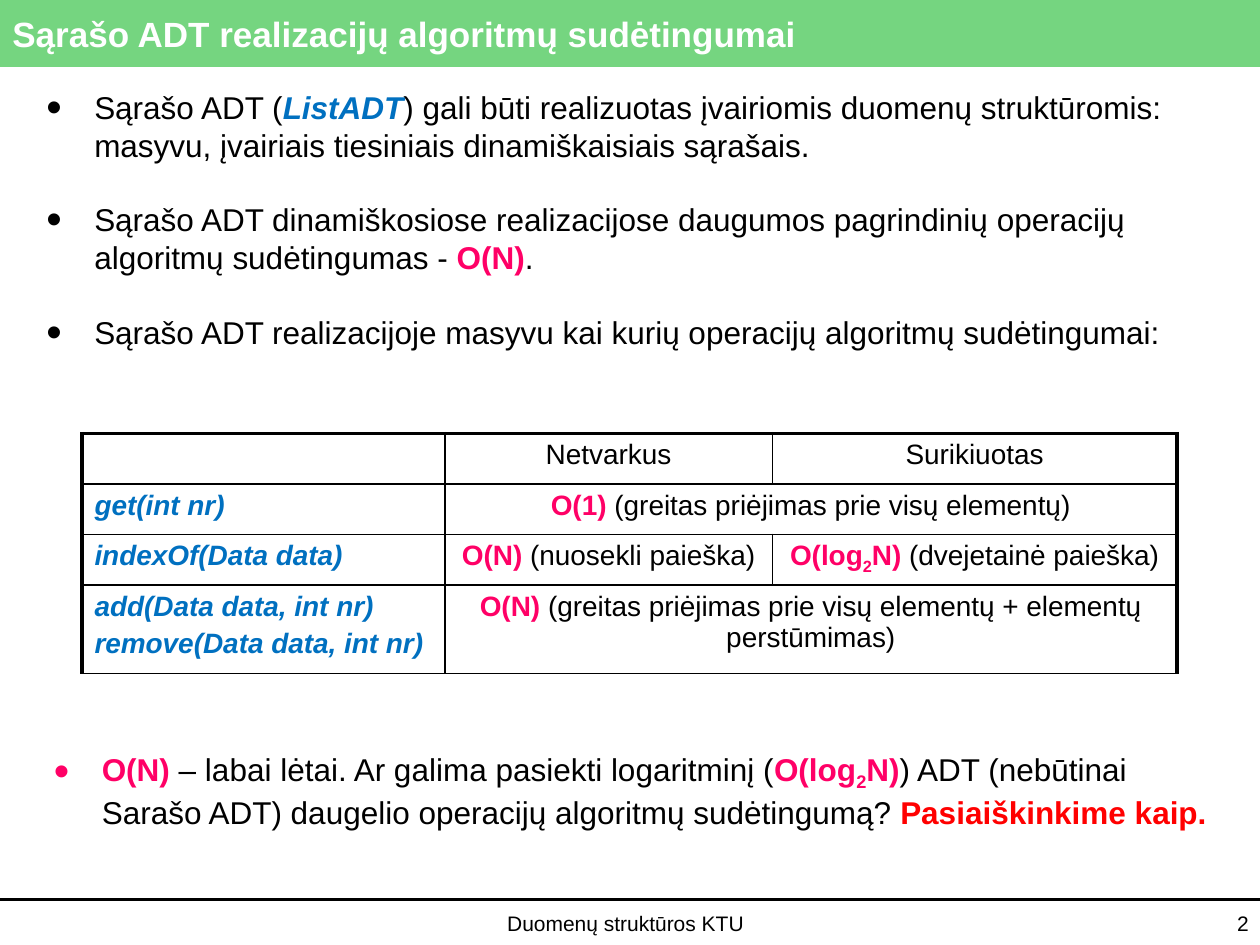
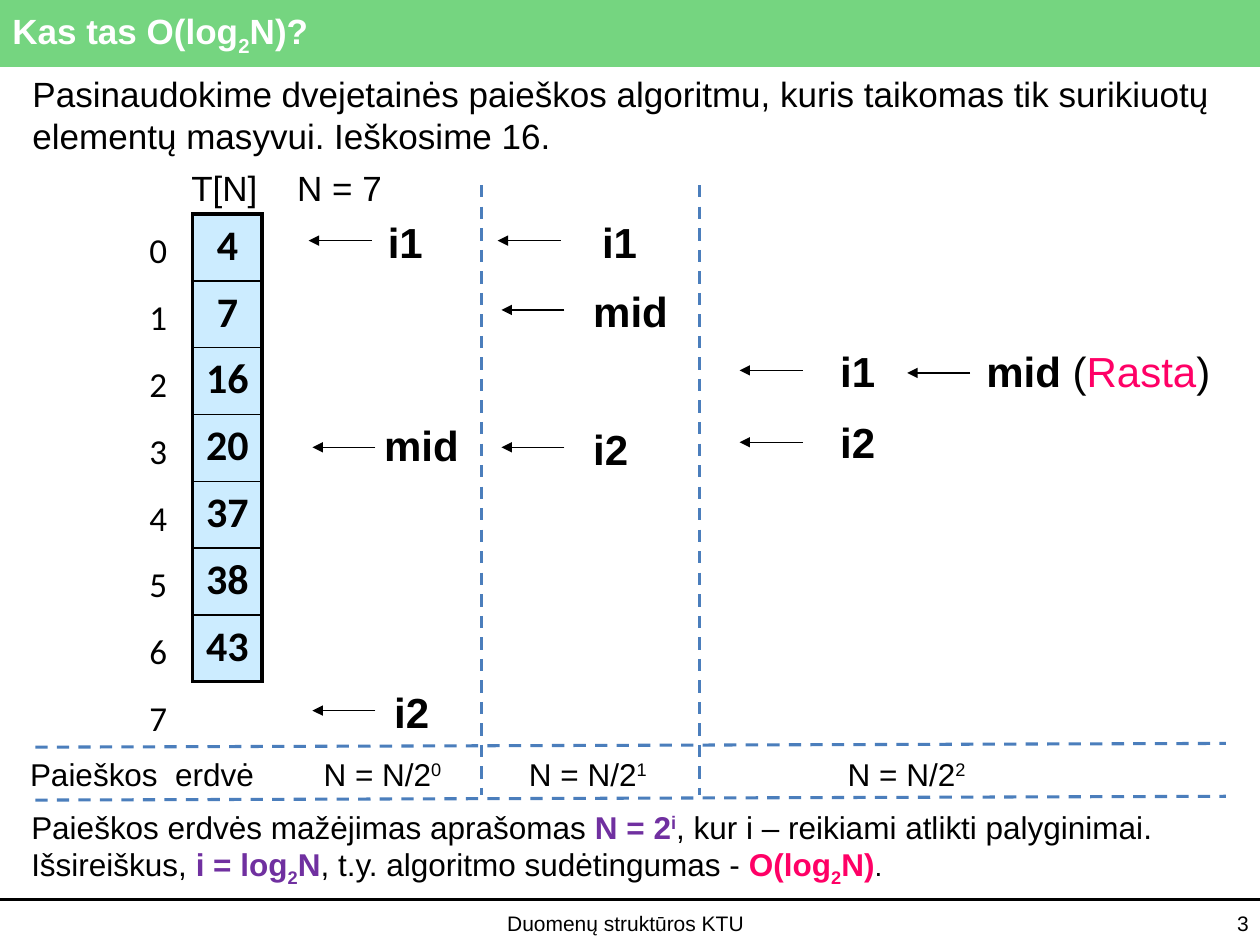
from pptx import Presentation
from pptx import util as u
from pptx.dml import color as dml_color
from pptx.enum import dml, shapes, text
from pptx.oxml import ns
from lxml import etree

GREEN, BLACK, WHITE = "75D580", "000000", "FFFFFF"
PINK, BLUE, PURPLE, RED = "FF0066", "0070C0", "7030A0", "FF0000"
DASH_BLUE, CELL_BLUE = "4B7EBC", "CCECFF"
FONT = "Arial"
FOOTER = "Duomenų struktūros KTU"
THICK, THIN = 2.25, 1
LEFT, CENTER, RIGHT = text.PP_ALIGN.LEFT, text.PP_ALIGN.CENTER, text.PP_ALIGN.RIGHT
SUB, SUPER = -25000, 30000


def rgb(value):
    return dml_color.RGBColor.from_string(value)


def child(parent, tag, **attributes):
    return etree.SubElement(parent, ns.qn(tag), attributes)


def plain(content, color=BLACK, size=None):
    return dict(content=content, color=color, size=size)


def strong(content, color=BLACK, **extra):
    return dict(content=content, color=color, bold=True, **extra)


def code(content):
    return strong(content, BLUE, italic=True)


def with_log(before, after, color):
    return [strong(before, color), strong("2", color, baseline=SUB), strong(after, color)]


def write(paragraph, runs, size, font=FONT, align=LEFT):
    paragraph.alignment = align
    for item in runs:
        run = paragraph.add_run()
        run.text = item["content"]
        run.font.name = font
        run.font.size = u.Pt(item.get("size") or size)
        run.font.bold = item.get("bold", False)
        run.font.italic = item.get("italic", False)
        run.font.color.rgb = rgb(item["color"])
        if "baseline" in item:
            run.font._element.set("baseline", str(item["baseline"]))


def add_bullet(paragraph):
    properties = paragraph._p.get_or_add_pPr()
    indent = u.Inches(0.38)
    properties.set("marL", str(indent))
    properties.set("indent", str(-indent))
    child(properties, "a:buSzPct", val="140000")
    child(properties, "a:buFont", typeface=FONT)
    child(properties, "a:buChar", char="•")


def add_text(slide, box, paragraphs, size, align=LEFT, middle=False, bullets=False, gap=0):
    shape = slide.shapes.add_textbox(*map(u.Inches, box))
    frame = shape.text_frame
    frame.word_wrap = True
    frame.vertical_anchor = text.MSO_ANCHOR.MIDDLE if middle else text.MSO_ANCHOR.TOP
    for index, runs in enumerate(paragraphs):
        paragraph = frame.add_paragraph() if index else frame.paragraphs[0]
        if index:
            paragraph.space_before = u.Pt(gap)
        if bullets:
            add_bullet(paragraph)
        write(paragraph, runs, size, align=align)


def add_line(slide, start, end, color=BLACK, width=1.75, dashed=False, arrow=False):
    line = slide.shapes.add_connector(
        shapes.MSO_CONNECTOR.STRAIGHT, *map(u.Inches, (*start, *end)))
    line.line.color.rgb = rgb(color)
    line.line.width = u.Pt(width)
    if dashed:
        line.line.dash_style = dml.MSO_LINE.DASH
    if arrow:
        child(line.line._get_or_add_ln(), "a:tailEnd", type="triangle")
    child(line._element.spPr, "a:effectLst")


def set_borders(cell, widths):
    properties = cell._tc.get_or_add_tcPr()
    for side, width in zip("LRTB", widths):
        border = child(properties, f"a:ln{side}", w=str(u.Pt(width)))
        if width:
            fill = child(border, "a:solidFill")
            child(fill, "a:srgbClr", val=BLACK)
        else:
            child(border, "a:noFill")


def add_grid(slide, corner, columns, rows):
    frame = slide.shapes.add_table(
        len(rows), len(columns),
        *map(u.Inches, (*corner, sum(columns), sum(rows))))
    table = frame.table
    table.first_row = table.horz_banding = False
    for column, width in zip(table.columns, columns):
        column.width = u.Inches(width)
    for row, height in zip(table.rows, rows):
        row.height = u.Inches(height)
    return table


def style_cells(table, outer, inner, bottom, fill=None):
    last_row, last_column = len(table.rows) - 1, len(table.columns) - 1
    for y in range(last_row + 1):
        for x in range(last_column + 1):
            cell = table.cell(y, x)
            right = x + cell.span_width - 1 if cell.is_merge_origin else x
            set_borders(cell, (
                outer if x == 0 else inner,
                outer if right == last_column else inner,
                outer if y == 0 else inner,
                bottom if y == last_row else inner))
            if fill:
                cell.fill.solid()
                cell.fill.fore_color.rgb = rgb(fill)
            else:
                cell.fill.background()


def add_frame(slide, title, number):
    band = slide.shapes.add_shape(
        shapes.MSO_SHAPE.RECTANGLE, 0, 0, u.Inches(10), u.Inches(0.52))
    band.shadow.inherit = False
    band.fill.solid()
    band.fill.fore_color.rgb = rgb(GREEN)
    band.line.color.rgb = rgb(GREEN)
    band.line.width = u.Pt(2)
    add_line(slide, (0, 7.14), (10, 7.14))
    add_text(slide, (0, 0.01, 9.96, 0.51), [title], 20, middle=True)
    add_text(slide, (2.72, 7.13, 4.49, 0.4), [[plain(FOOTER)]], 12, CENTER, True)
    add_text(slide, (7.68, 7.13, 2.33, 0.4), [[plain(str(number))]], 12, RIGHT, True)


def add_complexity_table(slide, corner):
    table = add_grid(slide, corner, [2.88, 2.6, 3.21], [0.4, 0.4, 0.4, 0.7])
    for y in (1, 3):
        table.cell(y, 1).merge(table.cell(y, 2))
    style_cells(table, THICK, THIN, THIN)
    operations = {
        1: ["get(int nr)"],
        2: ["indexOf(Data data)"],
        3: ["add(Data data, int nr)", "remove(Data data, int nr)"],
    }
    for y, names in operations.items():
        frame = table.cell(y, 0).text_frame
        for index, name in enumerate(names):
            paragraph = frame.add_paragraph() if index else frame.paragraphs[0]
            if index:
                paragraph.space_before = u.Pt(3)
            write(paragraph, [code(name)], 16)
    costs = {
        (0, 1): [plain("Netvarkus")],
        (0, 2): [plain("Surikiuotas")],
        (1, 1): [strong("O(1) ", PINK), plain("(greitas priėjimas prie visų elementų)")],
        (2, 1): [strong("O(N) ", PINK), plain("(nuosekli paieška)")],
        (2, 2): [*with_log("O(log", "N) ", PINK), plain("(dvejetainė paieška)")],
        (3, 1): [strong("O(N) ", PINK),
                 plain("(greitas priėjimas prie visų elementų + elementų perstūmimas)")],
    }
    for position, runs in costs.items():
        write(table.cell(*position).text_frame.paragraphs[0], runs, 16, align=CENTER)


def build_complexity_slide(slide):
    add_frame(slide, [strong("Sąrašo ADT realizacijų algoritmų sudėtingumai", WHITE)], 2)
    add_text(slide, (0.27, 0.65, 9.53, 2.22), [
        [plain("Sąrašo ADT ("), code("ListADT"),
         plain(") gali būti realizuotas įvairiomis duomenų struktūromis: masyvu, "
               "įvairiais tiesiniais dinamiškaisiais sąrašais.")],
        [plain("Sąrašo ADT dinamiškosiose realizacijose daugumos pagrindinių operacijų "
               "algoritmų sudėtingumas - "), strong("O(N)", PINK), plain(".")],
        [plain("Sąrašo ADT realizacijoje masyvu kai kurių operacijų algoritmų "
               "sudėtingumai:")],
    ], 18, bullets=True, gap=21)
    add_complexity_table(slide, (0.65, 3.44))
    add_text(slide, (0.33, 5.9, 9.53, 0.71), [[
        strong("O(N)", PINK),
        plain(" – labai lėtai. Ar galima pasiekti logaritminį ("),
        *with_log("O(log", "N)", PINK),
        plain(") ADT (nebūtinai Sarašo ADT) daugelio operacijų algoritmų sudėtingumą? "),
        strong("Pasiaiškinkime kaip.", RED),
    ]], 18, bullets=True)


def add_column(slide, corner, values, size, bold, border, fill=None):
    table = add_grid(slide, corner, [0.55], [0.53] * len(values))
    style_cells(table, border and THICK, border and THIN, border and THICK, fill)
    for y, value in enumerate(values):
        run = dict(content=str(value), color=BLACK, bold=bold)
        write(table.cell(y, 0).text_frame.paragraphs[0], [run], size, "Calibri", CENTER)


def add_array(slide, left, top):
    add_text(slide, (left - 0.11, top - 0.43, 0.85, 0.44), [[plain("T[N]")]], 20)
    add_text(slide, (left + 0.73, top - 0.43, 1.2, 0.44), [[plain("N = 7")]], 20)
    add_column(slide, (left, top), [4, 7, 16, 20, 37, 38, 43], 24, True, True, CELL_BLUE)
    add_column(slide, (left - 0.55, top + 0.08), range(8), 20, False, False)


def add_pointers(slide, left, top, pointers):
    for tip, arrow_y, label_x, label_y, runs in pointers:
        y = top + arrow_y
        add_line(slide, (left + tip + 0.5, y), (left + tip, y), width=0.75, arrow=True)
        add_text(slide, (left + label_x, top + label_y, 2, 0.51), [runs], 24)


def add_search_space(slide, left, top):
    add_text(slide, (left - 0.14, top + 0.02, 2.3, 0.4), [[plain("Paieškos  erdvė")]], 18)
    for power, offset in enumerate((2.19, 3.82, 6.35)):
        exponent = dict(content=str(power), color=BLACK, baseline=SUPER)
        add_text(slide, (left + offset, top + 0.02, 1.5, 0.4),
                 [[plain("N = N/2"), exponent]], 18)
    for y in (top, top + 0.42):
        add_line(slide, (left, y + 0.01), (left + 9.45, y - 0.02), DASH_BLUE, dashed=True)
    for x in (3.82, 5.55):
        add_line(slide, (x, 1.47), (x, top + 0.39), DASH_BLUE, dashed=True)


def build_search_slide(slide):
    add_frame(slide, with_log("Kas tas O(log", "N)?", WHITE), 3)
    add_text(slide, (0.16, 0.53, 9.7, 0.77), [[
        plain("Pasinaudokime dvejetainės paieškos algoritmu, kuris taikomas tik surikiuotų "
              "elementų masyvui. Ieškosime 16.")]], 20)
    add_array(slide, 1.53, 1.7)
    first, last, middle = [strong("i1")], [strong("i2")], [strong("mid")]
    found = [*middle, plain(" ("), plain("Rasta", PINK), plain(")")]
    add_pointers(slide, 2.45, 1.67, [
        (0, 0.24, 0.53, 0, first),
        (0.03, 1.88, 0.5, 1.61, middle),
        (0.03, 3.97, 0.58, 3.73, last)])
    add_pointers(slide, 3.95, 1.67, [
        (0, 0.24, 0.73, 0, first),
        (0.03, 0.79, 0.66, 0.55, middle),
        (0.03, 1.88, 0.66, 1.64, last)])
    add_pointers(slide, 5.87, 2.69, [
        (0, 0.25, 0.7, 0, first),
        (0, 0.82, 0.7, 0.57, last),
        (1.33, 0.27, 1.86, 0, found)])
    add_search_space(slide, 0.28, 5.92)
    add_text(slide, (0.15, 6.36, 9.7, 0.71), [[
        plain("Paieškos erdvės mažėjimas aprašomas "),
        strong("N = 2", PURPLE), strong("i", PURPLE, baseline=SUPER),
        plain(", kur i – reikiami atlikti palyginimai. Išsireiškus, "),
        *with_log("i = log", "N", PURPLE),
        plain(", t.y. algoritmo sudėtingumas - "),
        *with_log("O(log", "N)", PINK), plain(".", size=16),
    ]], 18)


def main():
    presentation = Presentation()
    presentation.slide_width = u.Inches(10)
    presentation.slide_height = u.Inches(7.5)
    for build in (build_complexity_slide, build_search_slide):
        build(presentation.slides.add_slide(presentation.slide_layouts[6]))
    presentation.save("out.pptx")


if __name__ == "__main__":
    main()
